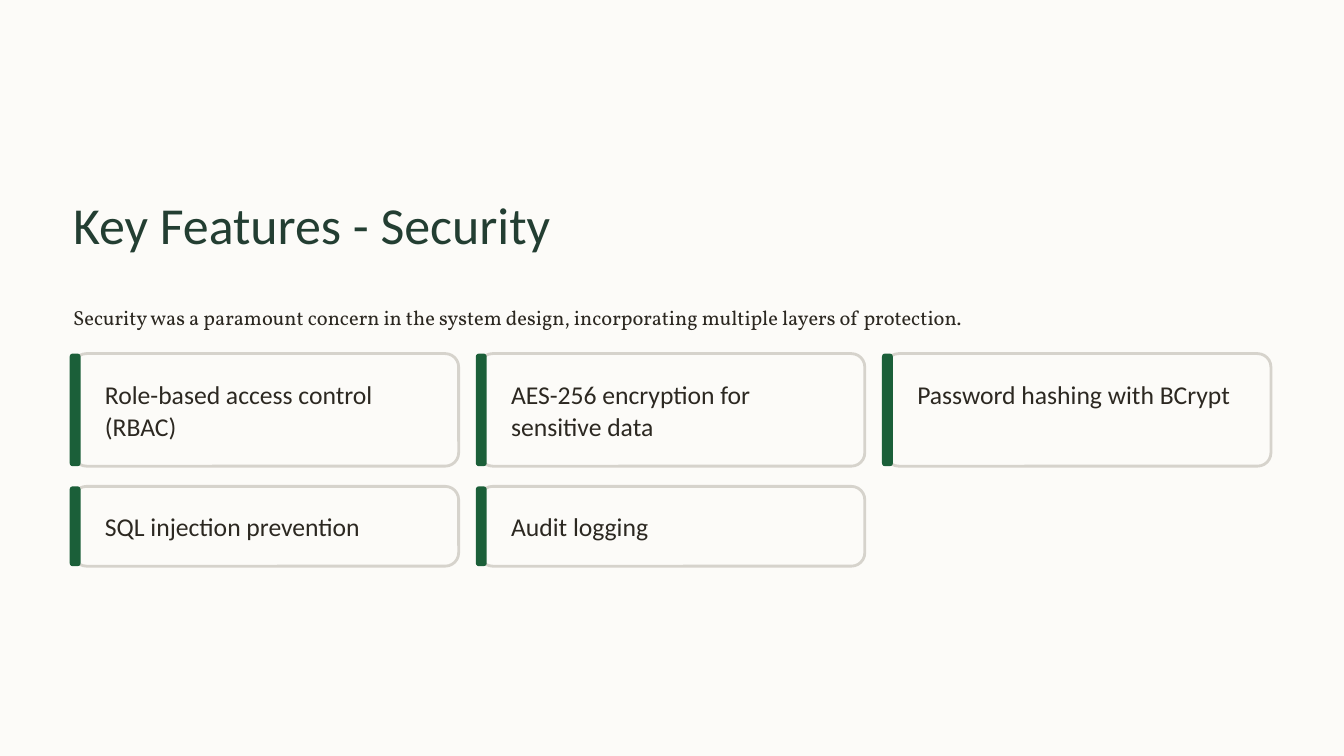
"""Build the security features slide: title, introduction and a grid of cards."""
from lxml.etree import SubElement
from pptx import Presentation
from pptx.dml.color import RGBColor
from pptx.enum.shapes import MSO_SHAPE
from pptx.enum.text import MSO_ANCHOR, MSO_AUTO_SIZE, PP_ALIGN
from pptx.oxml.ns import qn
from pptx.util import Inches, Pt

TITLE = "Key Features - Security"
INTRO = ("Security was a paramount concern in the system design, "
         "incorporating multiple layers of protection.")
FEATURES = [
    "Role-based access control (RBAC)",
    "AES-256 encryption for sensitive data",
    "Password hashing with BCrypt",
    "SQL injection prevention",
    "Audit logging",
]
COLORS = {"paper": "FCFBF8", "title": "233E32", "text": "2C2821",
          "border": "D6D3CC", "accent": "1B5F39"}
STYLES = {
    "title": {"name": "Calibri", "size": 44.5, "color": "title", "leading": 55.5},
    "intro": {"name": "Vollkorn", "size": 17.5, "color": "text", "leading": 28.5},
    "card": {"name": "Calibri", "size": 22, "color": "text", "leading": 27.5},
}
LEFT, WIDTH, COLS = 0.87, 14.26, 3
CARD_W, RADIUS = 4.59, 0.16
ROWS = [(4.21, 1.34), (5.79, 0.95)]
BAR_W, BAR_SHIFT, BAR_ADJ = 0.13, 0.04, 0.28
PAD_X, PAD_Y, TEXT_W = 0.38, 0.28, 3.93


def rgb(name):
    return RGBColor.from_string(COLORS[name])


def write(sp, text, style):
    fmt = STYLES[style]
    tf = sp.text_frame
    frame = {"word_wrap": True, "auto_size": MSO_AUTO_SIZE.NONE,
             "vertical_anchor": MSO_ANCHOR.TOP, "margin_left": 0,
             "margin_right": 0, "margin_top": 0, "margin_bottom": 0}
    for key, value in frame.items():
        setattr(tf, key, value)
    p = tf.paragraphs[0]
    para = {"alignment": PP_ALIGN.LEFT, "line_spacing": Pt(fmt["leading"]),
            "space_before": Pt(0), "space_after": Pt(0)}
    for key, value in para.items():
        setattr(p, key, value)
    r = p.add_run()
    r.text = text
    for key, value in {"name": fmt["name"], "size": Pt(fmt["size"])}.items():
        setattr(r.font, key, value)
    r.font.color.rgb = rgb(fmt["color"])
    return p


def place(sp, x, y, w, h):
    box = {"left": x, "top": y, "width": w, "height": h}
    for key, value in box.items():
        setattr(sp, key, Inches(value))


def add_round(slide, x, y, w, h, adj, fill, line=None):
    sp = slide.shapes.add_shape(MSO_SHAPE.ROUNDED_RECTANGLE,
                                Inches(x), Inches(y), Inches(w), Inches(h))
    sp.adjustments[0] = adj
    sp.shadow.inherit = False
    sp.fill.solid()
    sp.fill.fore_color.rgb = rgb(fill)
    if line:
        sp.line.color.rgb = rgb(line)
        sp.line.width = Pt(2.4)
    else:
        sp.line.fill.background()


def add_card(slide, i, text):
    row, col = divmod(i, COLS)
    x = LEFT + col * (WIDTH - CARD_W) / (COLS - 1)
    y, h = ROWS[row]
    add_round(slide, x, y, CARD_W, h, RADIUS / h, "paper", "border")
    add_round(slide, x - BAR_SHIFT, y, BAR_W, h, BAR_ADJ, "accent")
    tb = slide.shapes.add_textbox(Inches(x + PAD_X), Inches(y + PAD_Y),
                                  Inches(TEXT_W), Inches(h - 2 * PAD_Y))
    write(tb, text, "card")


def main():
    prs = Presentation()
    prs.slide_width, prs.slide_height = Inches(16), Inches(9)
    slide = prs.slides.add_slide(prs.slide_layouts[1])
    slide.background.fill.solid()
    slide.background.fill.fore_color.rgb = rgb("paper")

    title, intro = slide.shapes.title, slide.placeholders[1]
    place(title, LEFT, 2.26, WIDTH, 0.78)
    write(title, TITLE, "title")
    place(intro, LEFT, 3.53, WIDTH, 0.4)
    p = write(intro, INTRO, "intro")
    pPr = p._p.get_or_add_pPr()
    for key in ("marL", "indent"):
        pPr.set(key, "0")
    SubElement(pPr, qn("a:buNone"))

    for i, text in enumerate(FEATURES):
        add_card(slide, i, text)
    prs.save("out.pptx")


if __name__ == "__main__":
    main()
